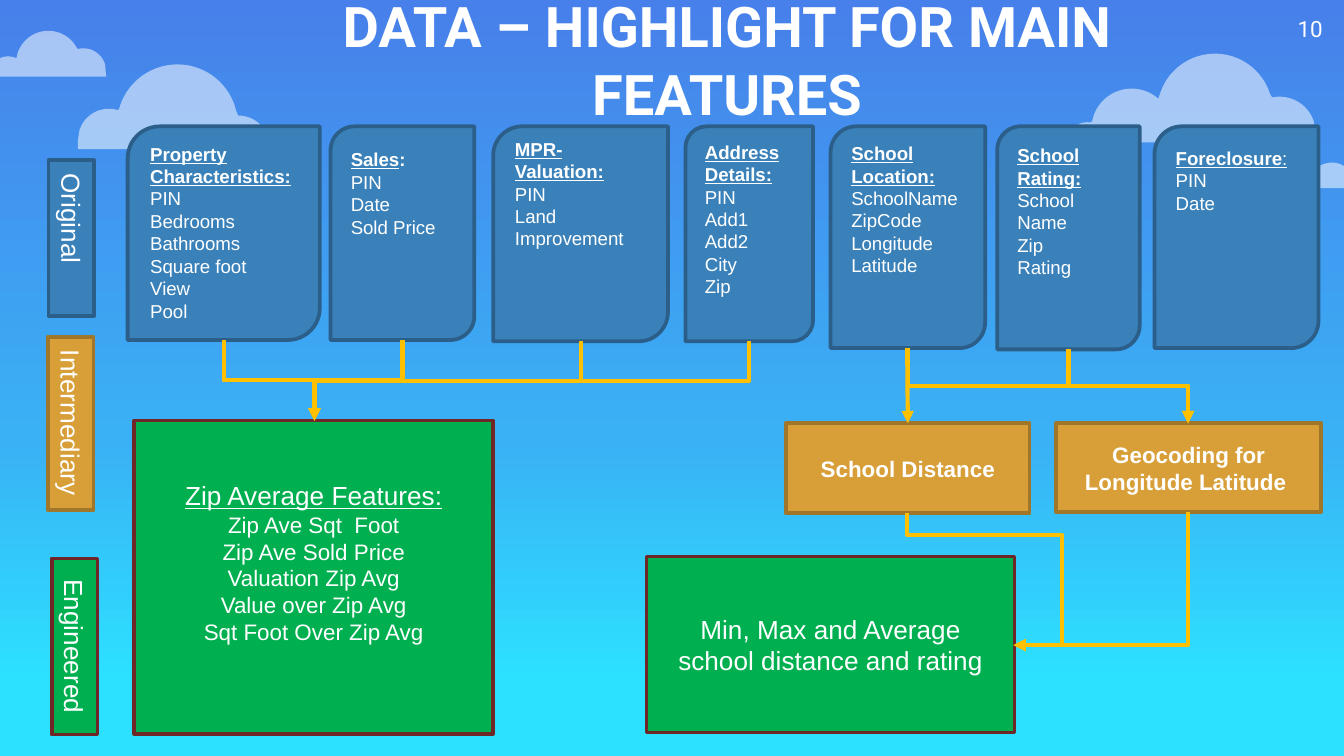
from copy import deepcopy
from math import sqrt

from lxml.etree import SubElement
from pptx import Presentation
from pptx.dml.color import RGBColor
from pptx.enum.shapes import MSO_CONNECTOR as Connector, MSO_SHAPE as Shape
from pptx.enum.text import MSO_ANCHOR as Anchor, PP_ALIGN as Align
from pptx.oxml.ns import qn
from pptx.util import Inches, Pt

WHITE = RGBColor(0xFF, 0xFF, 0xFF)
BLUE, BLUE_EDGE = RGBColor(0x3A, 0x81, 0xBA), RGBColor(0x2B, 0x5F, 0x8A)
AMBER, AMBER_EDGE = RGBColor(0xD8, 0x9F, 0x39), RGBColor(0xA0, 0x76, 0x2A)
GREEN, GREEN_EDGE = RGBColor(0x00, 0xB0, 0x50), RGBColor(0x6F, 0x26, 0x26)
ARROW = RGBColor(0xFF, 0xC0, 0x00)
SKY = [(0, RGBColor(0x47, 0x80, 0xEA)), (0.58, RGBColor(0x3A, 0xB1, 0xF5)),
       (0.9, RGBColor(0x2C, 0xE1, 0xFF))]
ORIGINAL = (BLUE, BLUE_EDGE)
INTERMEDIARY = (AMBER, AMBER_EDGE)
ENGINEERED = (GREEN, GREEN_EDGE)

presentation = Presentation()
presentation.slide_width = Inches(10)
presentation.slide_height = Inches(10) * 9 // 16
slide = presentation.slides.add_slide(presentation.slide_layouts[6])


def add_box(kind, left, top, width, height, colors, lines, size, align=Align.CENTER, bold=False):
    """Add a filled shape with one paragraph for each line of text."""
    shape = slide.shapes.add_shape(kind, Inches(left), Inches(top), Inches(width), Inches(height))
    shape.shadow.inherit = False
    shape.fill.solid()
    shape.fill.fore_color.rgb, shape.line.color.rgb = colors
    shape.line.width = Pt(2)
    frame = shape.text_frame
    frame.word_wrap = True
    frame.vertical_anchor = Anchor.MIDDLE
    frame.text = "\n".join(lines)
    for paragraph in frame.paragraphs:
        paragraph.alignment = align
        font = paragraph.font
        font.name, font.size, font.bold, font.color.rgb = "Arial", Pt(size), bold, WHITE
    return shape


def add_arrow(start, end, preset="bentConnector3", adjustments=()):
    """Add an arrow that leaves start downwards; a straight one if end is below it."""
    (x1, y1), (x2, y2) = start, end
    straight = x1 == x2
    connector = slide.shapes.add_connector(
        Connector.STRAIGHT if straight else Connector.ELBOW,
        Inches(x1), Inches(y1), Inches(x2), Inches(y2))
    connector.line.color.rgb = ARROW
    connector.line.width = Pt(2.25)
    properties = connector._element.spPr
    SubElement(connector.line._get_or_add_ln(), qn("a:tailEnd"), type="triangle")
    SubElement(properties, qn("a:effectLst"))
    if straight:
        return connector
    # Bent presets start sideways, so the box is turned a quarter about its centre.
    across, down = abs(x2 - x1), y2 - y1
    connector.left = Inches((x1 + x2 - down) / 2)
    connector.top = Inches((y1 + y2 - across) / 2)
    connector.width, connector.height = Inches(down), Inches(across)
    transform = properties.find(qn("a:xfrm"))
    for flip in ("flipH", "flipV"):
        transform.attrib.pop(flip, None)
    transform.set("rot", str((90 if x2 < x1 else 270) * 60000))
    if x2 > x1:
        transform.set("flipH", "1")
    geometry = properties.find(qn("a:prstGeom"))
    geometry.set("prst", preset)
    guides = geometry.find(qn("a:avLst"))
    for number, share in enumerate(adjustments, 1):
        SubElement(guides, qn("a:gd"), name=f"adj{number}", fmla=f"val {round(share * 100000)}")
    return connector


# Sky
sky = slide.background.fill
sky.gradient()
sky.gradient_angle = 270
stop_list = next(slide._element.iter(qn("a:gsLst")))
stop_list.append(deepcopy(stop_list[-1]))
for stop, (position, color) in zip(sky.gradient_stops, SKY):
    stop.position, stop.color.rgb = position, color

# Clouds: a flat base and the upper edge of overlapping circles (x, y, radius)
CLOUDS = [
    (1.11, [(0.81, 1.04, 0.23), (1.32, 0.93, 0.45), (1.77, 1.1, 0.24), (2.04, 1.11, 0.13)]),
    (1.4, [(9.2, 1.36, 0.22), (9.52, 1.27, 0.3), (9.91, 1.38, 0.17)]),
    (1.06, [(8.09, 1.06, 0.15), (8.42, 0.96, 0.3), (9.04, 0.83, 0.43), (9.52, 0.99, 0.27)]),
    (0.57, [(0.06, 0.56, 0.14), (0.36, 0.47, 0.24), (0.62, 0.53, 0.17)]),
]
STEPS = 120
for base, circles in CLOUDS:
    left = min(x - radius for x, y, radius in circles)
    right = max(x + radius for x, y, radius in circles)
    outline = []
    for step in range(STEPS + 1):
        px = left + (right - left) * step / STEPS
        heights = [y - sqrt(max(radius ** 2 - (px - x) ** 2, 0))
                   for x, y, radius in circles if abs(px - x) <= radius]
        outline.append((Inches(px), Inches(min(heights + [base]))))
    outline.append((Inches(right), Inches(base)))
    builder = slide.shapes.build_freeform(Inches(left), Inches(base))
    builder.add_line_segments(outline)
    cloud = builder.convert_to_shape()
    cloud.shadow.inherit = False
    cloud.fill.solid()
    cloud.fill.fore_color.rgb = WHITE
    SubElement(next(cloud._element.spPr.iter(qn("a:srgbClr"))), qn("a:alpha"), val="53000")
    cloud.line.fill.background()

# Page number and title
HEADINGS = [
    ("10", 9.34, 0, 0.6, 0.43, 12, False, Align.RIGHT),
    ("DATA – HIGHLIGHT FOR MAIN FEATURES", 1.74, 0.11, 7.34, 0.66, 30, True, Align.CENTER),
]
for text, left, top, width, height, size, bold, align in HEADINGS:
    frame = slide.shapes.add_textbox(
        Inches(left), Inches(top), Inches(width), Inches(height)).text_frame
    frame.word_wrap = True
    frame.vertical_anchor = Anchor.MIDDLE
    frame.margin_left = frame.margin_right = frame.margin_top = frame.margin_bottom = Inches(0.1)
    paragraph = frame.paragraphs[0]
    paragraph.text, paragraph.alignment = text, align
    font = paragraph.font
    font.name, font.size, font.bold, font.color.rgb = "Roboto", Pt(size), bold, WHITE

# Original data cards: left, width, height, top margin, heading, fields
CARD_TOP = 0.94
CARDS = [
    (0.95, 1.43, 1.59, 0.05, "Property Characteristics:",
     ["PIN", "Bedrooms", "Bathrooms", "Square foot", "View", "Pool"]),
    (2.46, 1.07, 1.59, 0.11, "Sales", ["PIN", "Date", "Sold Price"]),
    (3.67, 1.3, 1.6, 0.02, "MPR-Valuation:", ["PIN", "Land", "Improvement"]),
    (5.1, 0.95, 1.6, 0.06, "Address Details:", ["PIN", "Add1", "Add2", "City", "Zip"]),
    (6.18, 1.15, 1.65, 0.06, "School Location:",
     ["SchoolName", "ZipCode", "Longitude", "Latitude"]),
    (7.42, 1.06, 1.66, 0.08, "School Rating:", ["School Name", "Zip", "Rating"]),
    (8.59, 1.22, 1.65, 0.09, "Foreclosure", ["PIN", "Date"]),
]
COLON_STYLES = {"Sales": (True, False), "Foreclosure": (False, True)}  # bold, underline
card_bottoms = []
for left, width, height, margin, heading, fields in CARDS:
    card = add_box(Shape.ROUND_2_DIAG_RECTANGLE, left, CARD_TOP, width, height, ORIGINAL,
                   [heading] + fields, 10, Align.LEFT)
    card.text_frame.vertical_anchor = Anchor.TOP
    card.text_frame.margin_top = Inches(margin)
    paragraph = card.text_frame.paragraphs[0]
    paragraph.font.bold = paragraph.font.underline = True
    if heading in COLON_STYLES:
        colon = paragraph.add_run()
        colon.text = ":"
        colon.font.bold, colon.font.underline = COLON_STYLES[heading]
    card_bottoms.append((left + width / 2, CARD_TOP + height))

# Intermediary and engineered features
add_box(Shape.RECTANGLE, 7.86, 3.15, 1.97, 0.66, INTERMEDIARY,
        ["Geocoding for Longitude Latitude "], 12, bold=True)
distance = add_box(Shape.RECTANGLE, 5.85, 3.15, 1.81, 0.67, INTERMEDIARY,
                   ["School Distance"], 12, bold=True)
add_box(Shape.RECTANGLE, 4.81, 4.14, 2.74, 1.31, ENGINEERED,
        ["Min, Max and Average school distance and rating"], 14)
averages = add_box(Shape.RECTANGLE, 1, 3.13, 2.67, 2.33, ENGINEERED,
                   ["Zip Average Features:", "Zip Ave Sqt  Foot", "Zip Ave Sold Price",
                    "Valuation Zip Avg", "Value over Zip Avg", "Sqt Foot Over Zip Avg"], 12)
averages.text_frame.margin_bottom = Inches(0.27)
averages_heading = averages.text_frame.paragraphs[0].font
averages_heading.size, averages_heading.underline = Pt(14), True

# Arrows
AVERAGES_TOP, GEOCODING_TOP, DISTANCE_TOP = (2.34, 3.13), (8.84, 3.15), (6.75, 3.15)
SUMMARY_RIGHT = (7.54, 4.8)
for bottom in card_bottoms[:4]:
    add_arrow(bottom, AVERAGES_TOP)
for bottom in card_bottoms[4:6]:
    add_arrow(bottom, GEOCODING_TOP)
add_arrow((6.75, 2.59), DISTANCE_TOP).end_connect(distance, 0)
add_arrow((8.84, 3.81), SUMMARY_RIGHT, "bentConnector2")
add_arrow((6.75, 3.82), SUMMARY_RIGHT, "bentConnector4", (0.165, 1.46))

# Row labels, turned to read downwards
LABELS = [
    ("Original", -0.05, 1.6, 1.16, ORIGINAL, Align.LEFT, Anchor.TOP),
    ("Intermediary", -0.12, 2.98, 1.29, INTERMEDIARY, Align.LEFT, Anchor.TOP),
    ("Engineered", -0.1, 4.64, 1.31, ENGINEERED, Align.CENTER, Anchor.MIDDLE),
]
for text, left, top, width, colors, align, anchor in LABELS:
    label = add_box(Shape.RECTANGLE, left, top, width, 0.34, colors, [text], 14, align)
    label.rotation = 90
    label.text_frame.vertical_anchor = anchor

presentation.save("out.pptx")
